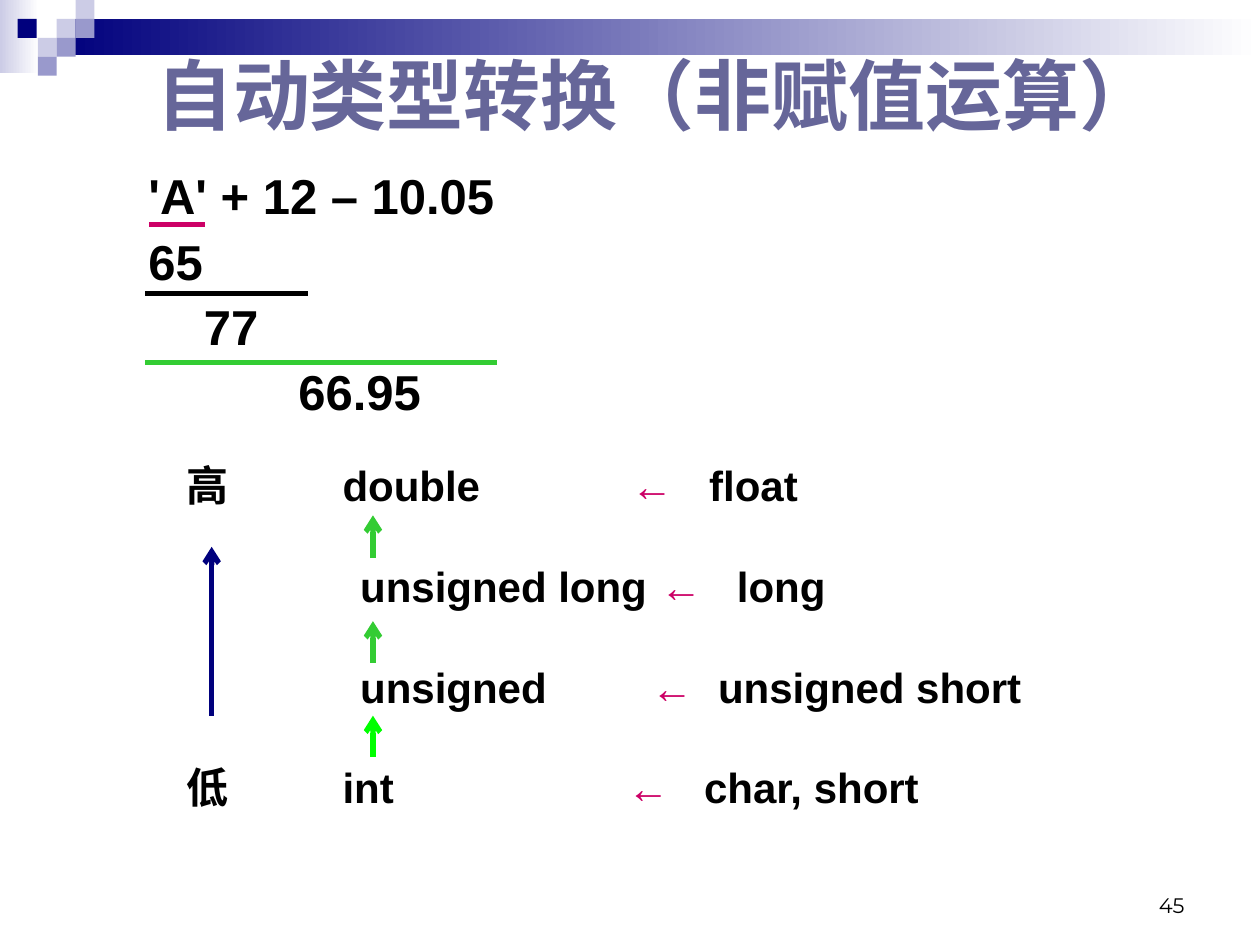
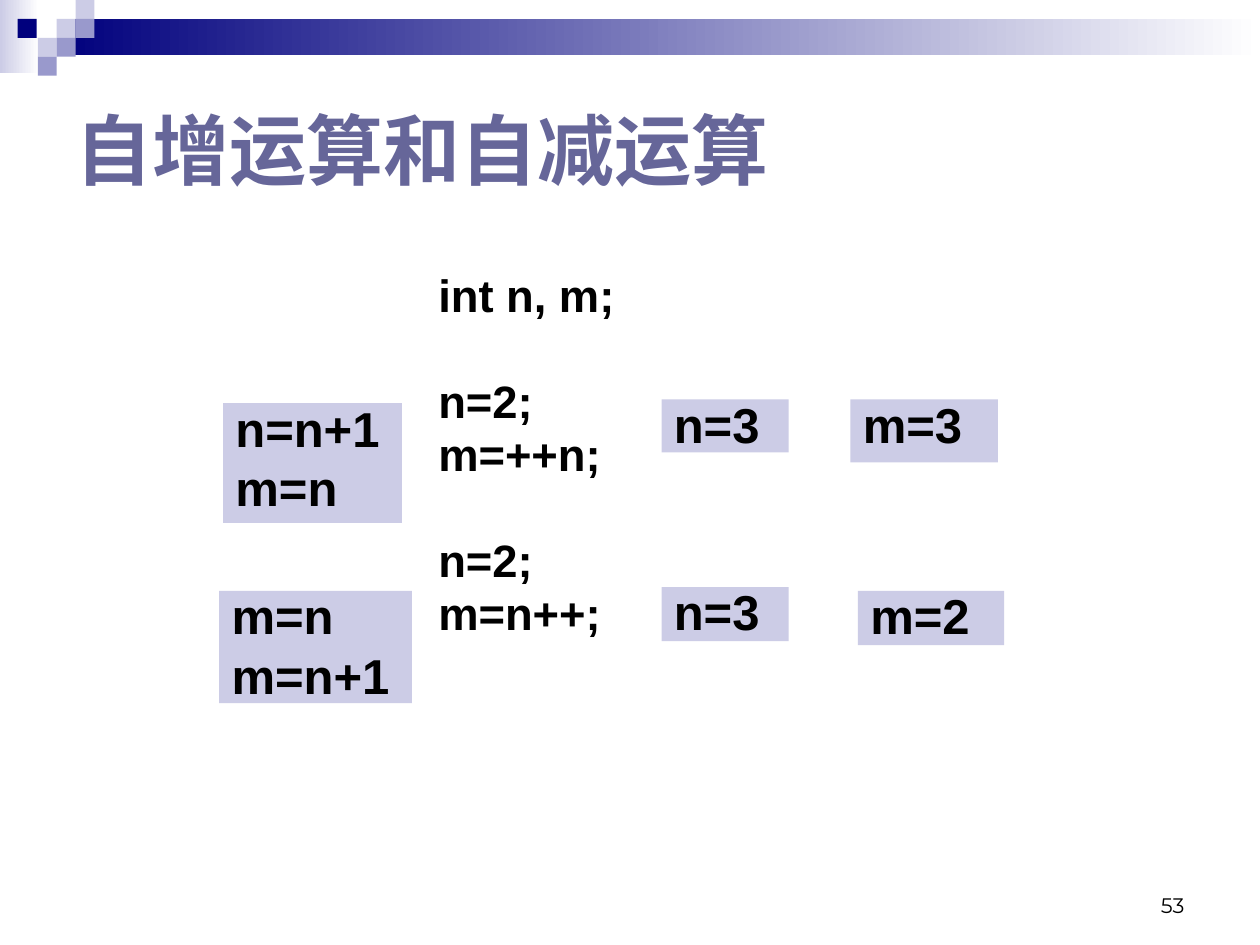
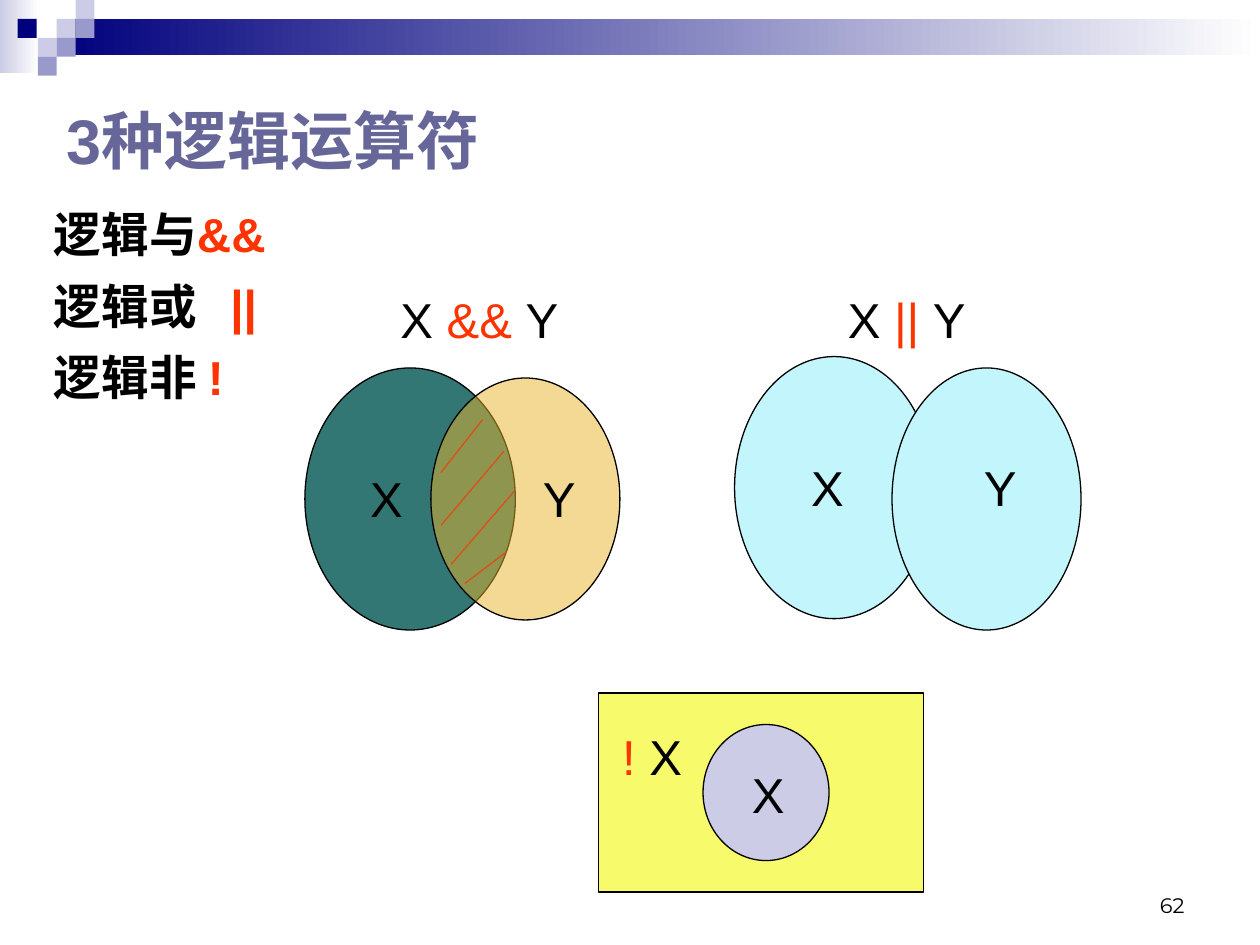
from lxml import etree
from pptx import Presentation
from pptx.dml.color import RGBColor
from pptx.enum import shapes, text
from pptx.oxml import ns
from pptx.util import Inches, Pt

BLACK, TITLE, RED = "000000", "666699", "FF3300"
NAVY, LILAC, VIOLET = "00007D", "CCCCE6", "9999CC"
PINK, GREEN, LIME, HATCH = "CC0066", "33CC33", "00FF00", "DE4D1A"
TEAL, GOLD, AQUA, YELLOW = "337774", "EAB42C", "C3F5FD", "F7FA6A"
RECT, OVAL = shapes.MSO_SHAPE.RECTANGLE, shapes.MSO_SHAPE.OVAL
color = RGBColor.from_string


def add_text(page, at, paras, size=28, bold=False, tint=BLACK, font="Arial",
             anchor=text.MSO_ANCHOR.TOP, align=text.PP_ALIGN.LEFT, spacing=None,
             before=0, gaps=None, indents=None, tabs=None, fill=None):
    """Each paragraph is a list of strings or (string, colour) pairs."""
    box = page.shapes.add_textbox(*map(Inches, at))
    if fill:
        box.fill.solid()
        box.fill.fore_color.rgb = color(fill)
    frame = box.text_frame
    frame.word_wrap, frame.vertical_anchor = True, anchor
    for i, spans in enumerate(paras):
        para = frame.paragraphs[0] if i == 0 else frame.add_paragraph()
        props = para._p.get_or_add_pPr()
        if indents:
            props.set("marL", str(Inches(indents[i])))
        if tabs and tabs[i]:
            stops = etree.SubElement(props, ns.qn("a:tabLst"))
            for stop in tabs[i]:
                etree.SubElement(stops, ns.qn("a:tab"), pos=str(Inches(stop)), algn="l")
        para.alignment = align
        if spacing:
            para.line_spacing = spacing
        if i:
            para.space_before = Pt(gaps[i] if gaps else before)
        for span in spans:
            words, shade = (span, tint) if isinstance(span, str) else span
            run = para.add_run()
            run.text = words
            run.font.name, run.font.size, run.font.bold = font, Pt(size), bold
            run.font.color.rgb = color(shade)


def add_figure(page, kind, at, fill, end_fill=None, outline=None, alpha=None):
    """Preset shape with a solid fill, or a left-to-right gradient when end_fill is given."""
    figure = page.shapes.add_shape(kind, *map(Inches, at))
    figure.shadow.inherit = False
    if end_fill:
        figure.fill.gradient()
        figure.fill.gradient_angle = 0
        for stop, shade in zip(figure.fill.gradient_stops, (fill, end_fill)):
            stop.color.rgb = color(shade)
    else:
        figure.fill.solid()
        figure.fill.fore_color.rgb = color(fill)
    if alpha:
        shade = figure._element.spPr.find(ns.qn("a:solidFill"))[0]
        etree.SubElement(shade, ns.qn("a:alpha"), val=str(alpha * 1000))
    if outline:
        figure.line.color.rgb = color(outline)
        figure.line.width = Pt(0.75)
    else:
        figure.line.fill.background()


deck = Presentation()
deck.slide_width, deck.slide_height = Inches(10), Inches(7.5)

# Shared band, corner squares, title and slide number
squares = [(0.45, 0.15, LILAC), (0.6, 0, LILAC), (0.6, 0.15, VIOLET), (0.3, 0.3, LILAC),
           (0.14, 0.15, NAVY), (0.45, 0.3, VIOLET), (0.3, 0.45, VIOLET)]
titles = [("自动类型转换（非赋值运算）", (1.14, 0.28, 8.74, 0.92), 44, "45"),
          ("自增运算和自减运算", (0.5, 0.5, 7.73, 1.36), 44, "53"),
          ("3种逻辑运算符", (0.43, 0.36, 9, 1.5), 36, "62")]
pages = []
for title, at, size, number in titles:
    page = deck.slides.add_slide(deck.slide_layouts[6])
    pages.append(page)
    add_figure(page, RECT, (0, 0, 0.31, 0.58), LILAC, end_fill="FFFFFF")
    add_figure(page, RECT, (0.45, 0.15, 9.55, 0.29), NAVY, end_fill="FFFFFF")
    for left, top, shade in squares:
        add_figure(page, RECT, (left, top, 0.15, 0.15), shade)
    add_text(page, (7.17, 6.83, 2.33, 0.5), [[number]], size=12, font="Montserrat",
             anchor=text.MSO_ANCHOR.BOTTOM, align=text.PP_ALIGN.RIGHT)
    add_text(page, at, [[title]], size=size, bold=True, tint=TITLE,
             anchor=text.MSO_ANCHOR.MIDDLE)
conversion, increment, logic = pages

# Automatic conversion: the worked expression and the type ladder
add_text(conversion, (0.58, 1.32, 4.02, 2.19),
         [["'A' + 12 – 10.05"], ["65"], ["77"], ["66.95"]],
         bold=True, spacing=0.9, before=7, indents=[0.5, 0.5, 0.94, 1.69])
ladder = [("高\tdouble\t", "float", (1.24, 3.53, 4.15)),
          ("\tunsigned long\t", "long", (1.38, 3.76, 4.37)),
          ("\tunsigned\t", "unsigned short", (1.38, 3.69, 4.22)),
          ("低\tint\t", "char, short", (1.24, 3.5, 4.11))]
add_text(conversion, (1.38, 3.6, 7.42, 3.17),
         [[target, ("←", PINK), "\t" + origin] for target, origin, stops in ladder],
         size=24, bold=True, before=28.75, tabs=[stops for target, origin, stops in ladder])

# Increment and decrement: code with the value of each variable beside it
add_text(increment, (2.79, 2.17, 2.21, 3.17),
         [["int n, m;"], ["n=2;"], ["m=++n;"], ["n=2;"], ["m=n++;"]],
         size=25.9, bold=True, spacing=0.75, gaps=[0, 37.3, 7, 37.3, 7], indents=[0.59] * 5)
values = [((5.25, 3.17, 1.01, 0.42), ["n=3"]), ((5.25, 4.66, 1.01, 0.43), ["n=3"]),
          ((6.75, 3.17, 1.17, 0.5), ["m=3"]), ((6.81, 4.69, 1.16, 0.43), ["m=2"]),
          ((1.74, 4.69, 1.53, 0.89), ["m=n", "m=n+1"]),
          ((1.77, 3.2, 1.42, 0.95), ["n=n+1", "m=n"])]
for at, rows in values:
    add_text(increment, at, [[row] for row in rows], bold=True, spacing=0.8,
             before=7, fill=LILAC)

# Logical operators: list and Venn diagrams
add_text(logic, (0.33, 1.58, 2.25, 1.75),
         [["逻辑与", ("&&", RED)], ["逻辑或\t", ("||", RED)], ["逻辑非 ", ("!", RED)]],
         size=27.2, bold=True, before=8, tabs=[None, [1.4], None])
for kind, at, fill, alpha in [(OVAL, (5.83, 2.83, 1.58, 2.08), AQUA, None),
                              (OVAL, (7.08, 2.92, 1.5, 2.08), AQUA, None),
                              (RECT, (4.75, 5.5, 2.58, 1.58), YELLOW, None),
                              (OVAL, (5.58, 5.75, 1, 1.08), LILAC, None),
                              (OVAL, (2.42, 2.92, 1.67, 2.08), TEAL, None),
                              (OVAL, (3.42, 3, 1.5, 1.92), GOLD, 50)]:
    add_figure(logic, kind, at, fill, outline=BLACK, alpha=alpha)
for left, top, width, spans in [(2.84, 3.67, 0.5, ["X"]), (4.21, 3.67, 0.5, ["Y"]),
                                (6.34, 3.58, 0.5, ["X"]), (7.71, 3.58, 0.5, ["Y"]),
                                (5.87, 6.02, 0.5, ["X"]),
                                (3.08, 2.25, 1.55, ["X ", ("&& ", RED), "Y"]),
                                (6.63, 2.25, 1.25, ["X ", ("|| ", RED), "Y"]),
                                (4.84, 5.72, 0.8, [("! ", RED), "X"])]:
    add_text(logic, (left, top, width, 0.57), [spans])

# Underlines, ladder arrows and hatching
underlines = [(1.2, 1.78, 1.61, 1.78, PINK), (1.17, 2.33, 2.42, 2.33, BLACK),
              (1.17, 2.88, 3.92, 2.88, GREEN)]
arrows = [(1.68, 5.68, 1.68, 4.34, NAVY), (2.96, 4.43, 2.96, 4.09, GREEN),
          (2.96, 5.26, 2.96, 4.93, GREEN), (2.96, 6.01, 2.96, 5.68, LIME)]
hatching = [(3.83, 3.33, 3.5, 3.75, HATCH), (4, 3.58, 3.5, 4.17, HATCH),
            (4.08, 3.9, 3.58, 4.48, HATCH), (4.02, 4.38, 3.69, 4.63, HATCH)]
for page, lines, width, cap, head in [(conversion, underlines, 3, "sq", "none"),
                                      (conversion, arrows, 3, "flat", "arrow"),
                                      (logic, hatching, 0.75, "flat", "none")]:
    for *ends, shade in lines:
        line = page.shapes.add_connector(shapes.MSO_CONNECTOR.STRAIGHT, *map(Inches, ends))
        line.line.color.rgb = color(shade)
        line.line.width = Pt(width)
        stroke = line._element.spPr.find(ns.qn("a:ln"))
        stroke.set("cap", cap)
        etree.SubElement(stroke, ns.qn("a:tailEnd"), type=head)
        etree.SubElement(line._element.spPr, ns.qn("a:effectLst"))

deck.save("out.pptx")
